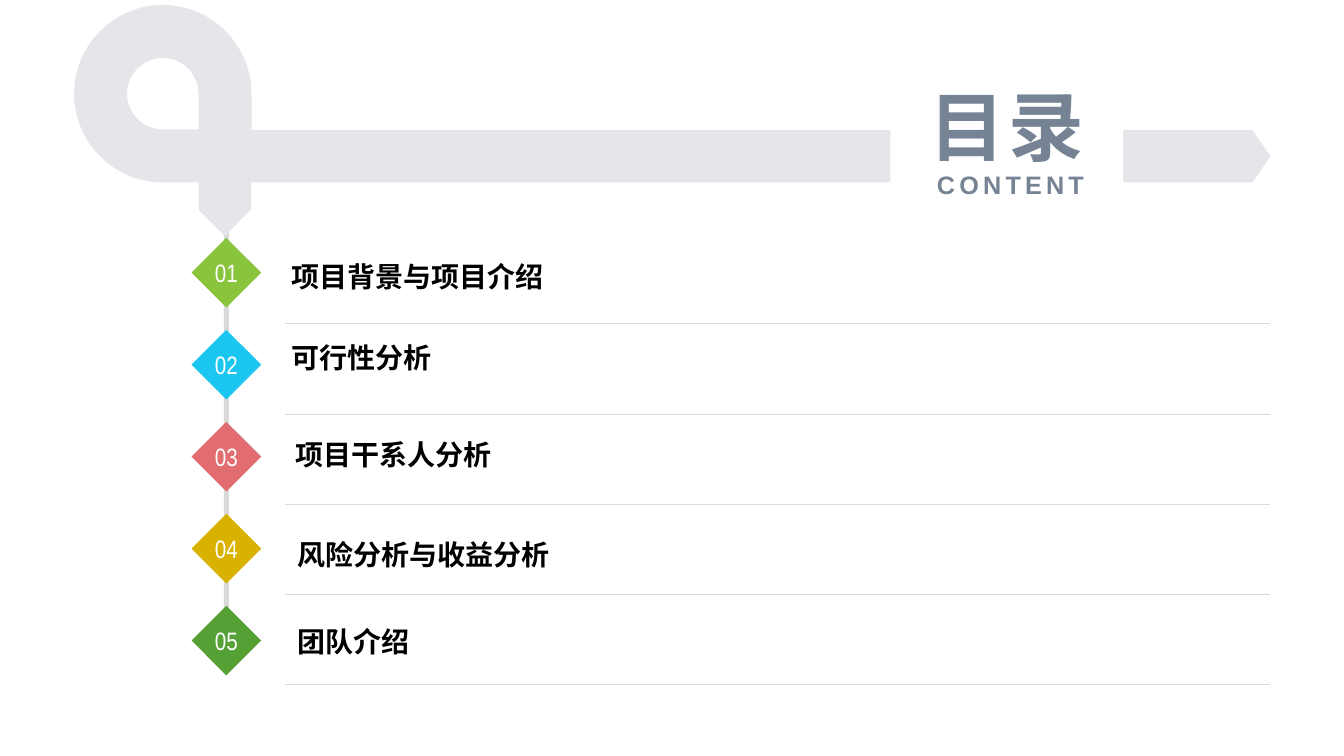
"""Build a contents slide with a looped ribbon and five numbered topics."""
from lxml.etree import SubElement
from pptx import Presentation
from pptx.dml.color import RGBColor
from pptx.enum.shapes import MSO_CONNECTOR, MSO_SHAPE
from pptx.enum.text import MSO_ANCHOR, PP_ALIGN
from pptx.oxml.ns import qn
from pptx.util import Inches, Pt

COLORS = {
    "ribbon": "E4E6EA", "rule": "D9D9D9", "title": "768394",
    "white": "FFFFFF", "black": "000000",
    "green": "88C43C", "blue": "1BC6F1", "red": "E16D71",
    "gold": "D9B100", "leaf": "55A135",
}
TOPICS = [
    ("项目背景与项目介绍", "green", 2.73, 2.67, 0.06),
    ("可行性分析", "blue", 2.73, 3.47, 0.06),
    ("项目干系人分析", "red", 2.83, 4.43, 0),
    ("风险分析与收益分析", "gold", 2.83, 5.42, 0.02),
    ("团队介绍", "leaf", 2.83, 6.29, 0.02),
]


def paint(shape, color):
    shape.shadow.inherit = False
    shape.fill.solid()
    shape.fill.fore_color.rgb = RGBColor.from_string(COLORS[color])
    shape.line.fill.background()


def write(shape, text, size, color, font="Arial", bold=True, align=PP_ALIGN.LEFT, gap=0):
    para = shape.text_frame.paragraphs[0]
    para.text = text
    para.alignment = align
    run = para.runs[0]
    run.font.size = Pt(size)
    run.font.name = font
    run.font.bold = bold
    run.font.color.rgb = RGBColor.from_string(COLORS[color])
    if gap:
        run.font._element.set("spc", str(gap * 100))


deck = Presentation()
deck.slide_width = Inches(13.33)
deck.slide_height = Inches(7.5)
slide = deck.slides.add_slide(deck.slide_layouts[6])
shapes = slide.shapes

stem = shapes.add_shape(MSO_SHAPE.RECTANGLE, Inches(2.22), Inches(2.23), Inches(0.05), Inches(4.45))
paint(stem, "rule")

band = shapes.add_shape(MSO_SHAPE.PENTAGON, Inches(2.49), Inches(1.29), Inches(10.11), Inches(0.52))
band.adjustments[0] = 0.341
paint(band, "ribbon")

bend = 0.55
turns = [
    (1, 0), (1, -bend), (bend, -1), (0, -1), (-bend, -1),
    (-1, -bend), (-1, 0), (-1, bend), (-bend, 1), (0, 1),
]
mid_x, mid_y = 1.615, 0.93
outer, inner = [
    [(Inches(mid_x + radius * x), Inches(mid_y + radius * y)) for x, y in [(1, 1)] + turns]
    for radius in (0.88, 0.355)
]
build = shapes.build_freeform(*outer[0])
build.add_line_segments(outer[1:], close=True)
build.move_to(*inner[0])
build.add_line_segments(inner[1:], close=True)
loop = build.convert_to_shape()
paint(loop, "ribbon")

steps = list(loop._element.iter(qn("a:lnTo")))
for first in (1, 4, 7, 11, 14, 17):
    curve = steps[first].makeelement(qn("a:cubicBezTo"))
    steps[first].addprevious(curve)
    for step in steps[first:first + 3]:
        curve.append(step[0])
        step.getparent().remove(step)

tip = shapes.add_shape(MSO_SHAPE.PENTAGON, Inches(1.82), Inches(1.67), Inches(0.82), Inches(0.52))
tip.rotation = 90
paint(tip, "ribbon")

title = shapes.add_shape(MSO_SHAPE.RECTANGLE, Inches(8.83), Inches(0.74), Inches(2.31), Inches(1.35))
paint(title, "white")
title.text_frame.vertical_anchor = MSO_ANCHOR.TOP
write(title, "目录", 54, "title", align=PP_ALIGN.CENTER, gap=3)

sub = shapes.add_textbox(Inches(9.13), Inches(1.63), Inches(1.72), Inches(0.4))
sub.text_frame.word_wrap = False
write(sub, "CONTENT", 18, "title", align=PP_ALIGN.RIGHT, gap=3)

for row, (topic, color, left, top, inset) in enumerate(TOPICS):
    badge = shapes.add_shape(
        MSO_SHAPE.DIAMOND, Inches(1.9), Inches(2.36 + row * 0.9125), Inches(0.69), Inches(0.69)
    )
    paint(badge, color)
    frame = badge.text_frame
    frame.margin_left = frame.margin_right = frame.margin_top = frame.margin_bottom = 0
    frame.vertical_anchor = MSO_ANCHOR.MIDDLE
    frame.word_wrap = False
    write(badge, f"{row + 1:02}", 18, "white", "Arial Narrow", False, PP_ALIGN.CENTER)

    label = shapes.add_textbox(Inches(left), Inches(top), Inches(4.33), Inches(0.29))
    label.text_frame.margin_left = Inches(0.1 + inset)
    label.text_frame.vertical_anchor = MSO_ANCHOR.BOTTOM
    label.text_frame.word_wrap = False
    write(label, topic, 20, "black")
    label.text_frame.paragraphs[0].line_spacing = 1.1

    level = Inches(3.21 + row * 0.895)
    rule = shapes.add_connector(MSO_CONNECTOR.STRAIGHT, Inches(2.83), level, Inches(12.6), level)
    rule.line.color.rgb = RGBColor.from_string(COLORS["rule"])
    rule.line.width = Pt(0.25)
    SubElement(rule._element.spPr, qn("a:effectLst"))

deck.save("out.pptx")
